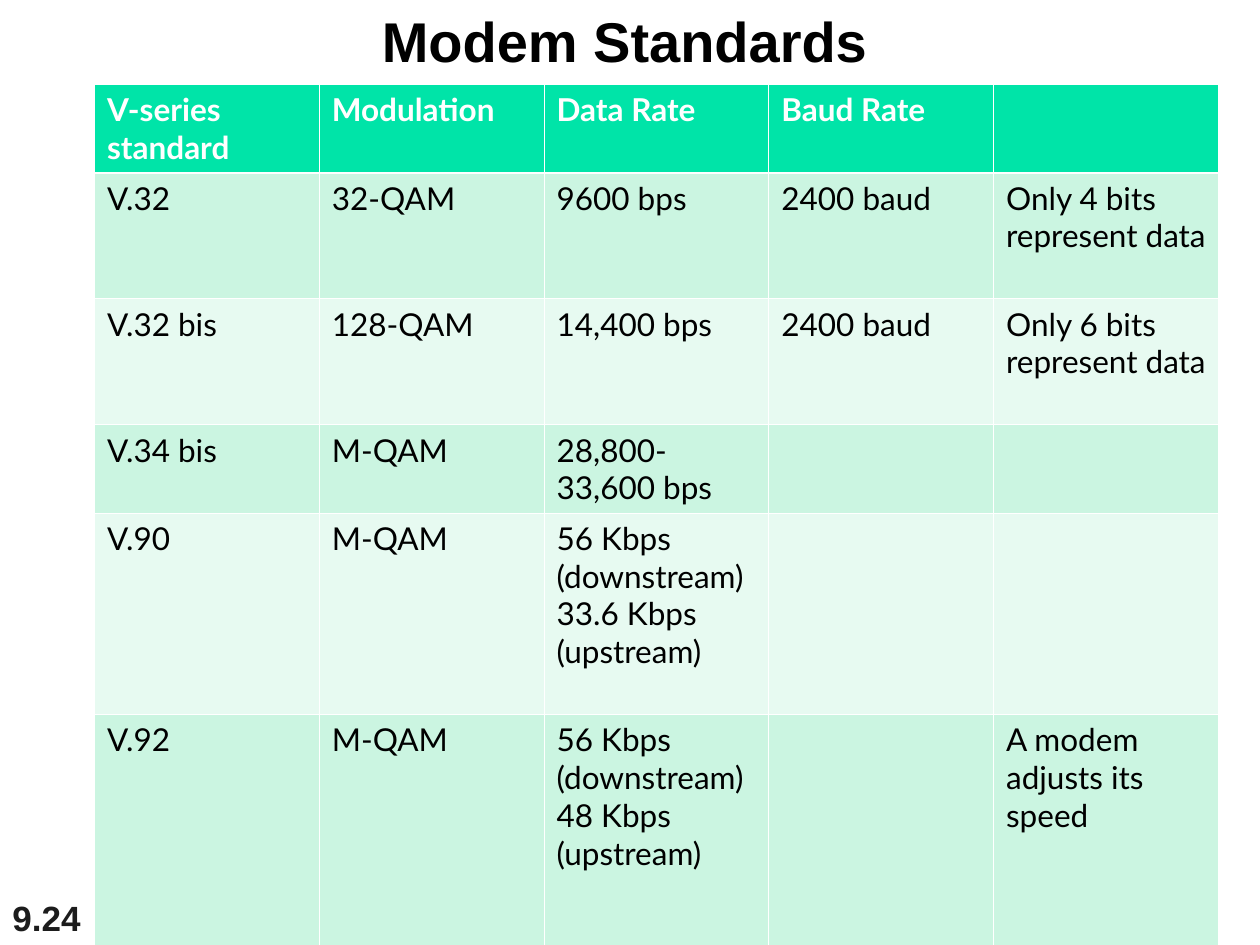
from dataclasses import dataclass

from lxml.etree import SubElement
from pptx import Presentation
from pptx.dml.color import RGBColor
from pptx.enum.text import MSO_ANCHOR, MSO_AUTO_SIZE, PP_ALIGN
from pptx.oxml.ns import qn
from pptx.table import _Cell
from pptx.text.text import TextFrame
from pptx.util import Inches, Pt

WHITE, BLACK = "FFFFFF", "000000"
HEADER_FILL = "00E4A8"
BAND_FILLS = ("CBF5E1", "E7FAF1")
COLUMN_WIDTH = 8.92 / 5
THIN, THICK = 0.45, 1.47


@dataclass
class Row:
    height: float
    texts: tuple[str, ...]


ROWS = [
    Row(0.7, ("V-series standard", "Modulation", "Data Rate", "Baud Rate", "")),
    Row(1, ("V.32", "32-QAM", "9600 bps", "2400 baud", "Only 4 bits represent data")),
    Row(1, ("V.32 bis", "128-QAM", "14,400 bps", "2400 baud", "Only 6 bits represent data")),
    Row(0.7, ("V.34 bis", "M-QAM", "28,800-33,600 bps", "", "")),
    Row(1.6, ("V.90", "M-QAM", "56 Kbps (downstream)\n33.6 Kbps (upstream)", "", "")),
    Row(1.9, ("V.92", "M-QAM", "56 Kbps (downstream)\n48 Kbps (upstream)", "",
              "A modem adjusts its speed")),
]


def color(value: str) -> RGBColor:
    return RGBColor.from_string(value)


def write(frame: TextFrame, text: str, *, size: float, font: str, fill: str,
          bold: bool = False) -> None:
    frame.text = text
    for para in frame.paragraphs:
        para.alignment = PP_ALIGN.LEFT
        para.font.size = Pt(size)
        for span in para.runs:
            span.font.name = font
            span.font.size = Pt(size)
            span.font.bold = bold
            span.font.color.rgb = color(fill)


def set_borders(cell: _Cell, top: float, bottom: float) -> None:
    properties = cell._tc.get_or_add_tcPr()
    widths = {"a:lnL": THIN, "a:lnR": THIN, "a:lnT": top, "a:lnB": bottom}
    for position, (side, width) in enumerate(widths.items()):
        line = SubElement(properties, qn(side), w=str(Pt(width)))
        SubElement(SubElement(line, qn("a:solidFill")), qn("a:srgbClr"), val=WHITE)
        properties.insert(position, line)


deck = Presentation()
deck.slide_width, deck.slide_height = Inches(10), Inches(7.5)
page = deck.slides.add_slide(deck.slide_layouts[5])

title = page.shapes.title
title.left, title.top, title.width, title.height = (
    Inches(2.93), Inches(0), Inches(4.05), Inches(0.64))
title.text_frame.word_wrap = False
title.text_frame.auto_size = MSO_AUTO_SIZE.NONE
title.text_frame.margin_right = Inches(0)
title.text_frame.vertical_anchor = MSO_ANCHOR.TOP
write(title.text_frame, "Modem Standards", size=32, font="Arial", fill=BLACK, bold=True)

number = page.shapes.add_textbox(Inches(0), Inches(7), Inches(2.08), Inches(0.5))
number.text_frame.word_wrap = True
number.text_frame.vertical_anchor = MSO_ANCHOR.BOTTOM
write(number.text_frame, "9.24", size=20, font="Arial", fill="1C1C1C", bold=True)

table = page.shapes.add_table(
    len(ROWS), 5, Inches(0.75), Inches(0.67), Inches(8.92),
    Inches(sum(row.height for row in ROWS))).table
for column in table.columns:
    column.width = Inches(COLUMN_WIDTH)
for row_index, row in enumerate(ROWS):
    table.rows[row_index].height = Inches(row.height)
    header = row_index == 0
    for column_index, text in enumerate(row.texts):
        cell = table.cell(row_index, column_index)
        cell.fill.solid()
        cell.fill.fore_color.rgb = color(
            HEADER_FILL if header else BAND_FILLS[(row_index - 1) % 2])
        set_borders(cell, THICK if row_index == 1 else THIN, THICK if header else THIN)
        write(cell.text_frame, text, size=18, font="Lato",
              fill=WHITE if header else BLACK, bold=header)

deck.save("out.pptx")
